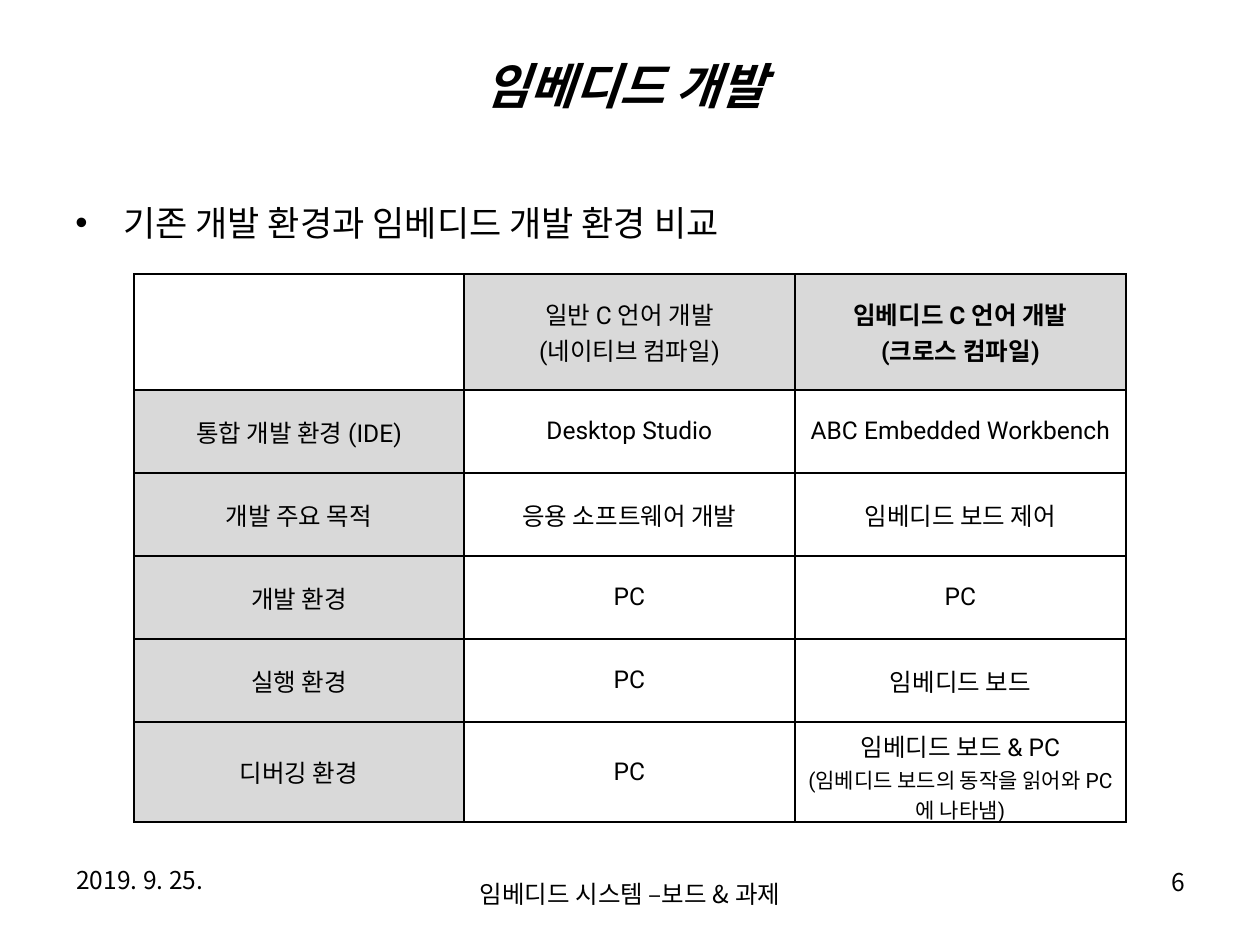
import pptx
import pptx.dml.color
import pptx.enum.text
import pptx.oxml.ns
import pptx.util
from lxml import etree

PX = 914400 / 126
COLORS = {"text": "000000", "border": "000000", "header": "D9D9D9", "cell": "FFFFFF"}
SANS, LATIN = "Noto Sans CJK KR", "Roboto"
LEFT = pptx.enum.text.PP_ALIGN.LEFT
CENTER = pptx.enum.text.PP_ALIGN.CENTER
RIGHT = pptx.enum.text.PP_ALIGN.RIGHT
TOP = pptx.enum.text.MSO_ANCHOR.TOP
MIDDLE = pptx.enum.text.MSO_ANCHOR.MIDDLE

COLUMNS = [330, 331, 331]
ROWS = [116, 83, 83, 83, 83, 100]
COMPARISON = [
    ["", "일반 C 언어 개발\n(네이티브 컴파일)", "임베디드 C 언어 개발\n(크로스 컴파일)"],
    ["통합 개발 환경 (IDE)", "Desktop Studio", "ABC Embedded Workbench"],
    ["개발 주요 목적", "응용 소프트웨어 개발", "임베디드 보드 제어"],
    ["개발 환경", "PC", "PC"],
    ["실행 환경", "PC", "임베디드 보드"],
    ["디버깅 환경", "PC",
     "임베디드 보드 & PC\n(임베디드 보드의 동작을 읽어와 PC에 나타냄)"],
]


def px(n):
    return pptx.util.Emu(round(n * PX))


def rgb(name):
    return pptx.dml.color.RGBColor.from_string(COLORS[name])


def sub(parent, tag, **attrs):
    return etree.SubElement(parent, pptx.oxml.ns.qn(tag), attrs)


def write(tf, text, size=14, font=SANS, bold=False, italic=False, align=LEFT):
    """Fill a text frame, one paragraph a line, and return its paragraphs."""
    for i, line in enumerate(text.split("\n")):
        p = tf.paragraphs[0] if i == 0 else tf.add_paragraph()
        p.alignment = align
        r = p.add_run()
        r.text = line
        r.font.size = pptx.util.Pt(size)
        r.font.name = font
        r.font.bold = bold
        r.font.italic = italic
        r.font.color.rgb = rgb("text")
        sub(r.font._element, "a:ea", typeface=SANS)
    return tf.paragraphs


def place(sp, x, y, w, h):
    sp.left, sp.top, sp.width, sp.height = px(x), px(y), px(w), px(h)


def add_title(s, text):
    sp = s.shapes.title
    place(sp, 84, 35, 1082, 100)
    sp.text_frame.vertical_anchor = MIDDLE
    write(sp.text_frame, text, size=28, font=LATIN, bold=True, italic=True, align=CENTER)


def add_text(s, box, text, anchor=TOP, **fmt):
    tf = s.shapes.add_textbox(*map(px, box)).text_frame
    tf.word_wrap = True
    tf.vertical_anchor = anchor
    return write(tf, text, **fmt)


def add_bullet(p, indent):
    pPr = p._p.get_or_add_pPr()
    pPr.set("marL", str(px(indent)))
    pPr.set("indent", str(px(-indent)))
    sub(pPr, "a:buFont", typeface="Arial")
    sub(pPr, "a:buChar", char="•")


def add_borders(cell):
    tcPr = cell._tc.get_or_add_tcPr()
    for side in "LRTB":
        ln = sub(tcPr, f"a:ln{side}", w=str(pptx.util.Pt(1)))
        sub(sub(ln, "a:solidFill"), "a:srgbClr", val=COLORS["border"])


def add_comparison(s, x, y):
    frame = s.shapes.add_table(len(ROWS), len(COLUMNS), px(x), px(y),
                               px(sum(COLUMNS)), px(sum(ROWS)))
    table = frame.table
    table.first_row = table.horz_banding = False
    for column, width in zip(table.columns, COLUMNS):
        column.width = px(width)
    for i, (height, texts) in enumerate(zip(ROWS, COMPARISON)):
        table.rows[i].height = px(height)
        for j, text in enumerate(texts):
            cell = table.cell(i, j)
            add_borders(cell)
            is_header = (i == 0) != (j == 0)
            cell.fill.solid()
            cell.fill.fore_color.rgb = rgb("header" if is_header else "cell")
            cell.vertical_anchor = MIDDLE
            if text:
                write(cell.text_frame, text, font=LATIN, align=CENTER,
                      bold=(i == 0 and j == 2))
    note = table.cell(len(ROWS) - 1, 2).text_frame.paragraphs[1]
    note.runs[0].font.size = pptx.util.Pt(12)


def main():
    prs = pptx.Presentation()
    prs.slide_width, prs.slide_height = px(1260), px(945)
    s = prs.slides.add_slide(prs.slide_layouts[5])
    add_title(s, "임베디드 개발")
    body = add_text(s, (63, 195, 1134, 665), "기존 개발 환경과 임베디드 개발 환경 비교", size=20)
    add_bullet(body[0], 48)
    add_text(s, (64, 859, 294, 66), "2019. 9. 25.")
    add_text(s, (382, 861, 496, 66), "임베디드 시스템 –보드 & 과제", anchor=MIDDLE, align=CENTER)
    add_text(s, (903, 861, 294, 66), "6", align=RIGHT)
    add_comparison(s, 134, 274)
    prs.save("out.pptx")


if __name__ == "__main__":
    main()
